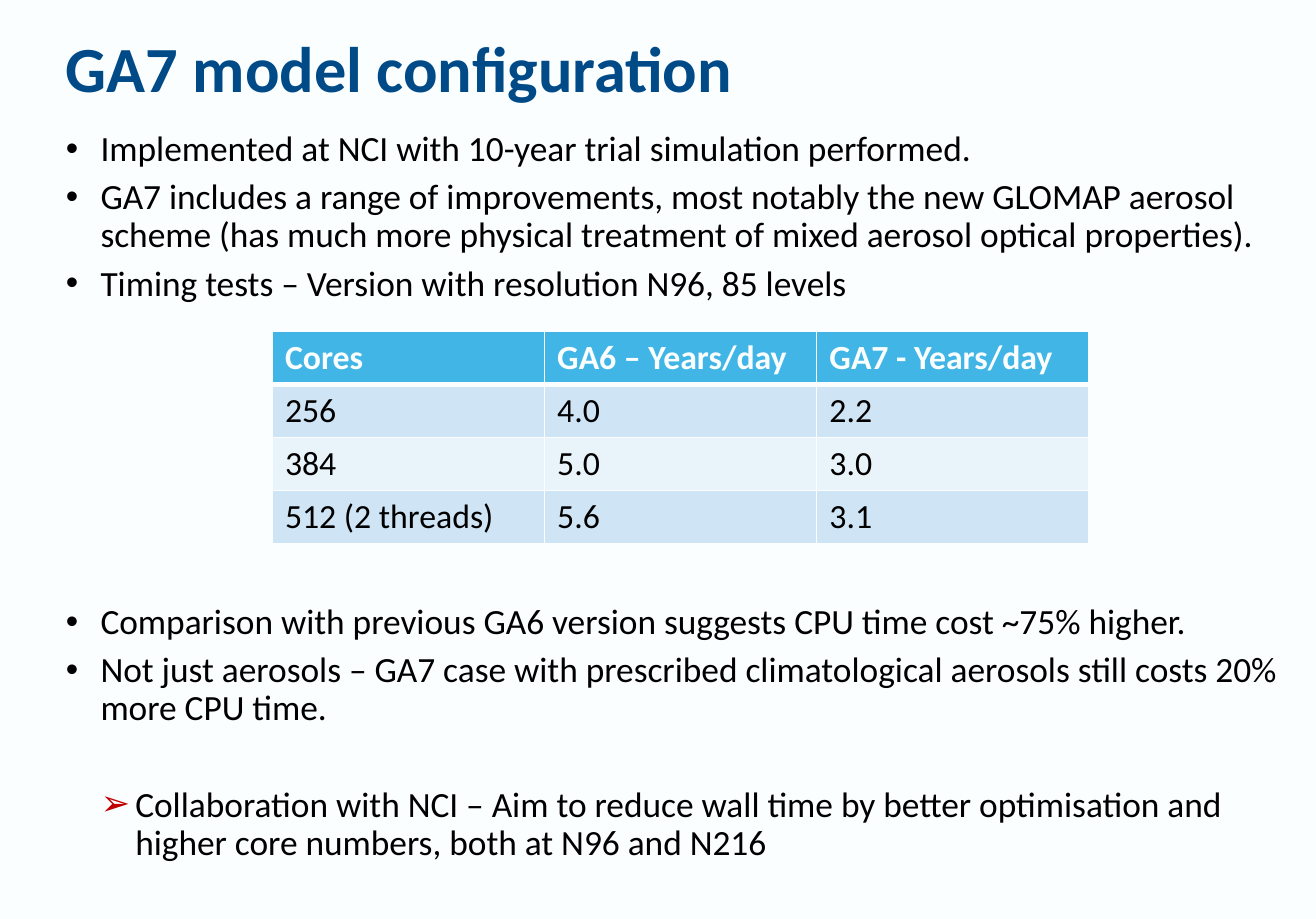
from lxml import etree
from pptx import Presentation
from pptx.dml.color import RGBColor
from pptx.enum.text import MSO_ANCHOR
from pptx.oxml.ns import qn
from pptx.util import Inches, Pt

TOP = MSO_ANCHOR.TOP
SLIDE_WIDTH, SLIDE_HEIGHT = Inches(11.36), Inches(7.93)
FONT = "Calibri"
COLORS = {
    "background": "FBFEFF",
    "title": "004B87",
    "text": "000000",
    "arrow": "C00000",
    "header": "41B6E6",
    "odd_row": "CFE5F5",
    "even_row": "E9F3FA",
}
BULLET_INDENT = 0.3
LEFT_MARGIN = 5
BODY_WIDTH = 93.49

SETUP = [
    "Implemented at NCI with 10-year trial simulation performed.",
    "GA7 includes a range of improvements, most notably the new GLOMAP aerosol "
    "scheme (has much more physical treatment of mixed aerosol optical properties).",
    "Timing tests – Version with resolution N96, 85 levels",
]
FINDINGS = [
    "Comparison with previous GA6 version suggests CPU time cost ~75% higher.",
    "Not just aerosols – GA7 case with prescribed climatological aerosols "
    "still costs 20% more CPU time.",
]
NEXT_STEP = (
    "Collaboration with NCI – Aim to reduce wall time by better optimisation and "
    "higher core numbers, both at N96 and N216"
)
TIMINGS = [
    ["Cores", "GA6 – Years/day", "GA7 - Years/day"],
    ["256", "4.0", "2.2"],
    ["384", "5.0", "3.0"],
    ["512 (2 threads)", "5.6", "3.1"],
]


def color(name):
    """Return the named colour of the palette."""
    return RGBColor.from_string(COLORS[name])


def area(left, top, width, height):
    """Turn percentages of the slide into left, top, width and height."""
    return (
        int(SLIDE_WIDTH * left / 100),
        int(SLIDE_HEIGHT * top / 100),
        int(SLIDE_WIDTH * width / 100),
        int(SLIDE_HEIGHT * height / 100),
    )


def add_run(paragraph, text, size, color_name="text", bold=False):
    """Add one formatted run to a paragraph."""
    run = paragraph.add_run()
    run.text = text
    run.font.name = FONT
    run.font.size = Pt(size)
    run.font.bold = bold
    run.font.color.rgb = color(color_name)


def add_text_frame(slide, place):
    """Add a wrapping text box without margins and return its frame."""
    frame = slide.shapes.add_textbox(*area(*place)).text_frame
    frame.word_wrap = True
    frame.vertical_anchor = TOP
    frame.margin_left = frame.margin_right = 0
    frame.margin_top = frame.margin_bottom = 0
    return frame


def add_title(slide, text):
    """Add the slide title."""
    paragraph = add_text_frame(slide, (LEFT_MARGIN, 4.04, 90, 11.6)).paragraphs[0]
    paragraph.line_spacing = 0.9
    add_run(paragraph, text, 40, "title", True)


def format_bullet(paragraph, symbol, level=0, color_name="text"):
    """Give a paragraph its bullet, hanging indent and spacing."""
    paragraph.level = level
    paragraph.line_spacing = 0.9
    paragraph.space_after = Pt(6.2)
    properties = paragraph._p.get_or_add_pPr()
    properties.set("marL", str(Inches(BULLET_INDENT * (level + 1))))
    properties.set("indent", str(-Inches(BULLET_INDENT)))
    bullet_color = etree.SubElement(properties, qn("a:buClr"))
    etree.SubElement(bullet_color, qn("a:srgbClr"), val=COLORS[color_name])
    etree.SubElement(properties, qn("a:buFont"), typeface="Arial")
    etree.SubElement(properties, qn("a:buChar"), char=symbol)


def add_bullets(slide, top, height, items):
    """Add a bulleted list and return its frame."""
    frame = add_text_frame(slide, (LEFT_MARGIN, top, BODY_WIDTH, height))
    for index, item in enumerate(items):
        paragraph = frame.add_paragraph() if index else frame.paragraphs[0]
        format_bullet(paragraph, "•")
        add_run(paragraph, item, 22)
    return frame


def add_next_step(frame, text):
    """Add the indented arrow point, set apart from the list above it."""
    paragraph = frame.add_paragraph()
    paragraph.space_before = Pt(30)
    format_bullet(paragraph, "➢", 1, "arrow")
    add_run(paragraph, text, 22)


def set_borders(cell, top_width, bottom_width):
    """Draw the four borders of a table cell."""
    properties = cell._tc.get_or_add_tcPr()
    widths = {"lnL": 1, "lnR": 1, "lnT": top_width, "lnB": bottom_width}
    for side, width in widths.items():
        line = etree.SubElement(properties, qn(f"a:{side}"), w=str(Pt(width)))
        fill = etree.SubElement(line, qn("a:solidFill"))
        etree.SubElement(fill, qn("a:srgbClr"), val=COLORS["background"])


def add_timings(slide, timings):
    """Add the table of simulated years per day."""
    table = slide.shapes.add_table(
        len(timings), len(timings[0]), *area(20.69, 36.07, 62.06, 23.08)
    ).table
    table.horz_banding = False
    row_fills = ["header", "odd_row", "even_row", "odd_row"]
    for row, (values, row_fill) in enumerate(zip(timings, row_fills)):
        is_header = row == 0
        for column, value in enumerate(values):
            cell = table.cell(row, column)
            set_borders(cell, 3 if row == 1 else 1, 3 if is_header else 1)
            cell.fill.solid()
            cell.fill.fore_color.rgb = color(row_fill)
            cell.margin_left = cell.margin_right = Inches(0.11)
            cell.margin_top = cell.margin_bottom = Inches(0.05)
            text_color = "background" if is_header else "text"
            add_run(cell.text_frame.paragraphs[0], value, 21, text_color, is_header)


def main():
    """Build the slide on the GA7 model configuration."""
    presentation = Presentation()
    presentation.slide_width = SLIDE_WIDTH
    presentation.slide_height = SLIDE_HEIGHT
    slide = presentation.slides.add_slide(presentation.slide_layouts[6])
    slide.background.fill.solid()
    slide.background.fill.fore_color.rgb = color("background")
    add_title(slide, "GA7 model configuration")
    add_bullets(slide, 14.25, 21, SETUP)
    findings = add_bullets(slide, 65.7, 31.9, FINDINGS)
    add_next_step(findings, NEXT_STEP)
    add_timings(slide, TIMINGS)
    presentation.save("out.pptx")


if __name__ == "__main__":
    main()
